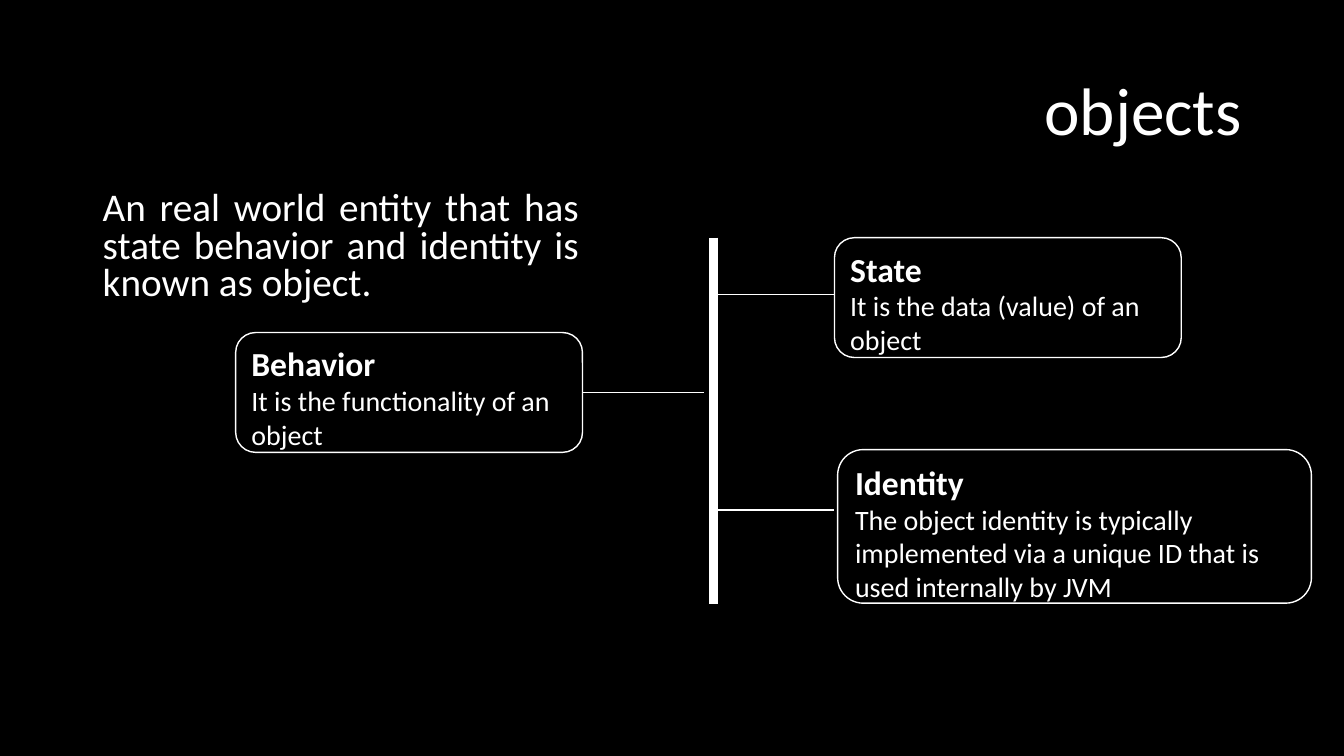
from dataclasses import dataclass
from lxml import etree
from pptx import Presentation
from pptx import util as u
from pptx.dml.color import RGBColor
from pptx.enum import shapes, text
from pptx.oxml.ns import qn


@dataclass
class Theme:
    back: RGBColor = RGBColor(0, 0, 0)
    ink: RGBColor = RGBColor(255, 255, 255)
    font: str = "Calibri"
    title: int = 48
    body: int = 28
    heading: int = 24
    detail: int = 20


theme = Theme()


def write(p, content, size, align, bold=False):
    p.text = content
    p.alignment = align
    f = p.runs[0].font
    f.name, f.size, f.bold = theme.font, u.Pt(size), bold
    f.color.rgb = theme.ink


def line(x1, y1, x2, y2, width):
    c = s.shapes.add_connector(shapes.MSO_CONNECTOR.STRAIGHT,
                               u.Cm(x1), u.Cm(y1), u.Cm(x2), u.Cm(y2))
    c.line.color.rgb = theme.ink
    c.line.width = u.Pt(width)
    etree.SubElement(c._element.spPr, qn("a:effectLst"))
    return c


prs = Presentation()
prs.slide_width, prs.slide_height = u.Cm(33.87), u.Cm(19.05)
s = prs.slides.add_slide(prs.slide_layouts[5])
s.background.fill.solid()
s.background.fill.fore_color.rgb = theme.back

title = s.shapes.title
title.left, title.top, title.width, title.height = u.Cm(2.34), u.Cm(1.02), u.Cm(29.21), u.Cm(3.68)
title.fill.solid()
title.fill.fore_color.rgb = theme.back
title.text_frame.vertical_anchor = text.MSO_ANCHOR.MIDDLE
p = title.text_frame.paragraphs[0]
write(p, "objects", theme.title, text.PP_ALIGN.RIGHT)
p.line_spacing = 0.9

body = s.shapes.add_textbox(u.Cm(2.34), u.Cm(4.7), u.Cm(12.5), u.Cm(3.28))
body.text_frame.word_wrap = True
p = body.text_frame.paragraphs[0]
write(p, "An real world entity that has state behavior and identity is known as object.",
      theme.body, text.PP_ALIGN.JUSTIFY)
p.line_spacing = 0.8

spine = 17.98
line(spine, 5.99, spine, 15.21, 6)
line(spine, 7.42, 21.03, 7.42, 1)
behavior_link = line(14.68, 9.89, 17.73, 9.89, 1)
line(spine, 12.85, 21.03, 12.85, 1)

cards = [
    ("State", "It is the data (value) of an object", 21.03, 5.99, 8.74, 3.02),
    ("Behavior", "It is the functionality of an object", 5.94, 8.38, 8.74, 3.02),
    ("Identity", "The object identity is typically implemented via a unique ID "
     "that is used internally by JVM", 21.11, 11.33, 11.94, 3.87),
]
for heading, detail, x, y, w, h in cards:
    sp = s.shapes.add_shape(shapes.MSO_SHAPE.ROUNDED_RECTANGLE,
                            u.Cm(x), u.Cm(y), u.Cm(w), u.Cm(h))
    sp.shadow.inherit = False
    sp.fill.solid()
    sp.fill.fore_color.rgb = theme.back
    sp.line.color.rgb = theme.ink
    sp.line.width = u.Pt(1)
    tf = sp.text_frame
    tf.word_wrap = True
    tf.vertical_anchor = text.MSO_ANCHOR.TOP
    write(tf.paragraphs[0], heading, theme.heading, text.PP_ALIGN.LEFT, True)
    write(tf.add_paragraph(), detail, theme.detail, text.PP_ALIGN.LEFT)
    if heading == "Behavior":
        behavior_link.begin_connect(sp, 3)

prs.save("out.pptx")
